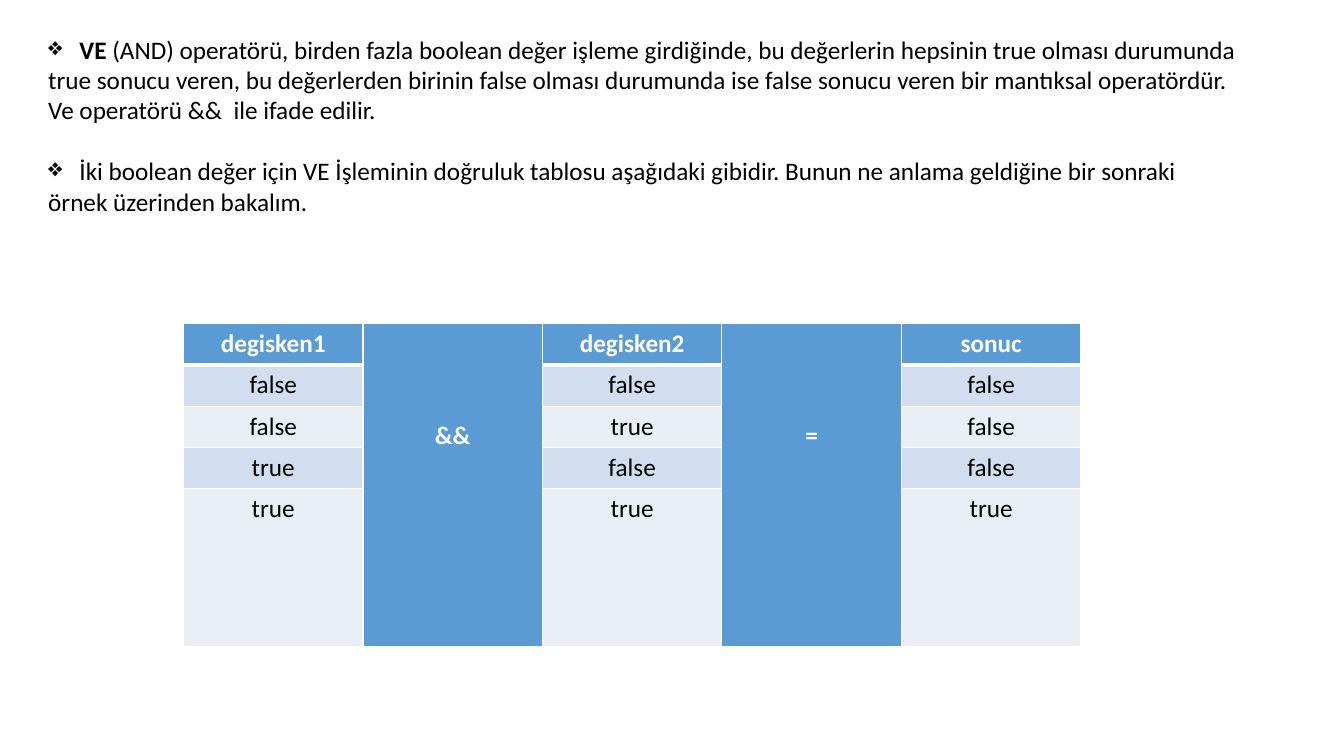
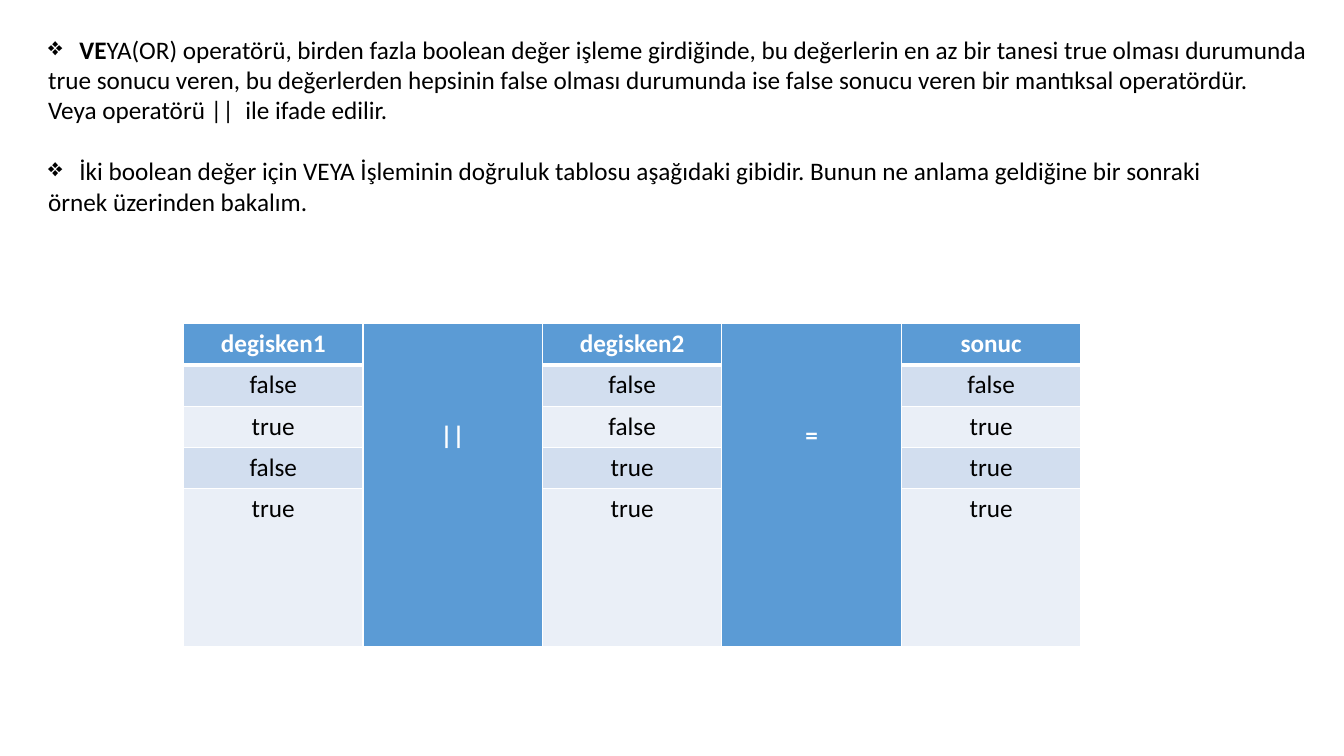
from dataclasses import dataclass

from lxml import etree
from pptx import Presentation
from pptx.dml.color import RGBColor
from pptx.enum.text import MSO_AUTO_SIZE, PP_ALIGN
from pptx.oxml.ns import qn
from pptx.util import Inches, Pt

CENTER = PP_ALIGN.CENTER
GROW = MSO_AUTO_SIZE.SHAPE_TO_FIT_TEXT

# Shared style
FONT = "Calibri"
SIZE = Pt(18)
BLACK, WHITE = "000000", "FFFFFF"
HEADER_FILL = "5B9BD5"
BAND_FILLS = ("D2DEEF", "EAEFF7")
THIN, THICK = Pt(1), Pt(3)
BLANK_LAYOUT = 6

# Truth table geometry
COLUMN_WIDTH = Inches(1.78)
ROW_HEIGHT = Inches(0.41)
LAST_ROW_HEIGHT = Inches(1.57)
SYMBOL_MARGIN = Inches(0.96)
SYMBOL_COLUMNS = (1, 3)


@dataclass(frozen=True)
class Operator:
    symbol: str
    bold_lead: str
    definition: tuple[str, str, str]
    table_intro: str
    text_width: float
    truth_rows: tuple[tuple[str, str, str], ...]


OPERATORS = (
    Operator(
        "&&",
        "VE",
        (
            " (AND) operatörü, birden fazla boolean değer işleme girdiğinde, "
            "bu değerlerin hepsinin true olması durumunda",
            "true sonucu veren, bu değerlerden birinin false olması durumunda "
            "ise false sonucu veren bir mantıksal operatördür.",
            "Ve operatörü &&  ile ifade edilir.",
        ),
        "İki boolean değer için VE İşleminin doğruluk tablosu aşağıdaki gibidir. "
        "Bunun ne anlama geldiğine bir sonraki",
        12.12,
        (
            ("false", "false", "false"),
            ("false", "true", "false"),
            ("true", "false", "false"),
            ("true", "true", "true"),
        ),
    ),
    Operator(
        "||",
        "VE",
        (
            "YA(OR) operatörü, birden fazla boolean değer işleme girdiğinde, "
            "bu değerlerin en az bir tanesi true olması durumunda",
            "true sonucu veren, bu değerlerden hepsinin false olması durumunda "
            "ise false sonucu veren bir mantıksal operatördür.",
            "Veya operatörü ||  ile ifade edilir.",
        ),
        "İki boolean değer için VEYA İşleminin doğruluk tablosu aşağıdaki gibidir. "
        "Bunun ne anlama geldiğine bir sonraki",
        12.84,
        (
            ("false", "false", "false"),
            ("true", "false", "true"),
            ("false", "true", "true"),
            ("true", "true", "true"),
        ),
    ),
)


def rgb(color: str) -> RGBColor:
    return RGBColor.from_string(color)


def add_run(paragraph, text: str, color: str = BLACK, bold: bool = False) -> None:
    run = paragraph.add_run()
    run.text = text
    run.font.name = FONT
    run.font.size = SIZE
    run.font.bold = bold
    run.font.color.rgb = rgb(color)


def add_bullet(paragraph) -> None:
    properties = paragraph._p.get_or_add_pPr()
    indent = Inches(0.31)
    properties.set("marL", str(indent))
    properties.set("indent", str(-indent))
    etree.SubElement(properties, qn("a:buChar")).set("char", "❖")


def set_borders(cell, top, bottom) -> None:
    """Draw white cell borders; the line elements must precede the fill."""
    properties = cell._tc.get_or_add_tcPr()
    widths = {"lnL": THIN, "lnR": THIN, "lnT": top, "lnB": bottom}
    for position, (side, width) in enumerate(widths.items()):
        line = etree.Element(qn(f"a:{side}"), w=str(width))
        fill = etree.SubElement(line, qn("a:solidFill"))
        etree.SubElement(fill, qn("a:srgbClr"), val=WHITE)
        properties.insert(position, line)


def add_explanation(slide, operator: Operator) -> None:
    box = slide.shapes.add_textbox(
        Inches(0.38), Inches(0.29), Inches(operator.text_width), Inches(2.22)
    )
    frame = box.text_frame
    frame.word_wrap = False
    frame.auto_size = GROW

    # Definition
    first_line, *other_lines = operator.definition
    opening = frame.paragraphs[0]
    add_bullet(opening)
    add_run(opening, operator.bold_lead, bold=True)
    add_run(opening, first_line)
    for line in other_lines:
        add_run(frame.add_paragraph(), line)

    # Introduction to the table, one line further down
    intro = frame.add_paragraph()
    intro.space_before = Pt(22)
    add_bullet(intro)
    add_run(intro, operator.table_intro)
    add_run(frame.add_paragraph(), "örnek üzerinden bakalım.")


def add_truth_table(slide, operator: Operator) -> None:
    header = ("degisken1", operator.symbol, "degisken2", "=", "sonuc")
    body = [(a, "", b, "", result) for a, b, result in operator.truth_rows]
    rows = [header, *body]
    last = len(rows) - 1
    table = slide.shapes.add_table(
        len(rows), len(header), Inches(1.82), Inches(3.21),
        COLUMN_WIDTH * len(header), ROW_HEIGHT * last + LAST_ROW_HEIGHT,
    ).table
    for column in table.columns:
        column.width = COLUMN_WIDTH

    for r, values in enumerate(rows):
        table.rows[r].height = LAST_ROW_HEIGHT if r == last else ROW_HEIGHT
        for c, value in enumerate(values):
            cell = table.cell(r, c)
            is_symbol = c in SYMBOL_COLUMNS
            is_header = r == 0 or is_symbol
            cell.fill.solid()
            cell.fill.fore_color.rgb = rgb(
                HEADER_FILL if is_header else BAND_FILLS[(r - 1) % 2]
            )
            set_borders(
                cell,
                THICK if r == 1 and not is_symbol else THIN,
                THICK if r == 0 and not is_symbol else THIN,
            )
            if value:
                paragraph = cell.text_frame.paragraphs[0]
                paragraph.alignment = CENTER
                add_run(paragraph, value, WHITE if is_header else BLACK, is_header)

    # Operator and equals sign each span all rows
    for c in SYMBOL_COLUMNS:
        symbol_cell = table.cell(0, c)
        symbol_cell.merge(table.cell(last, c))
        symbol_cell.margin_top = SYMBOL_MARGIN


def main() -> None:
    presentation = Presentation()
    presentation.slide_width = Inches(13.33)
    presentation.slide_height = Inches(7.5)
    for operator in OPERATORS:
        slide = presentation.slides.add_slide(
            presentation.slide_layouts[BLANK_LAYOUT]
        )
        add_explanation(slide, operator)
        add_truth_table(slide, operator)
    presentation.save("out.pptx")


if __name__ == "__main__":
    main()
